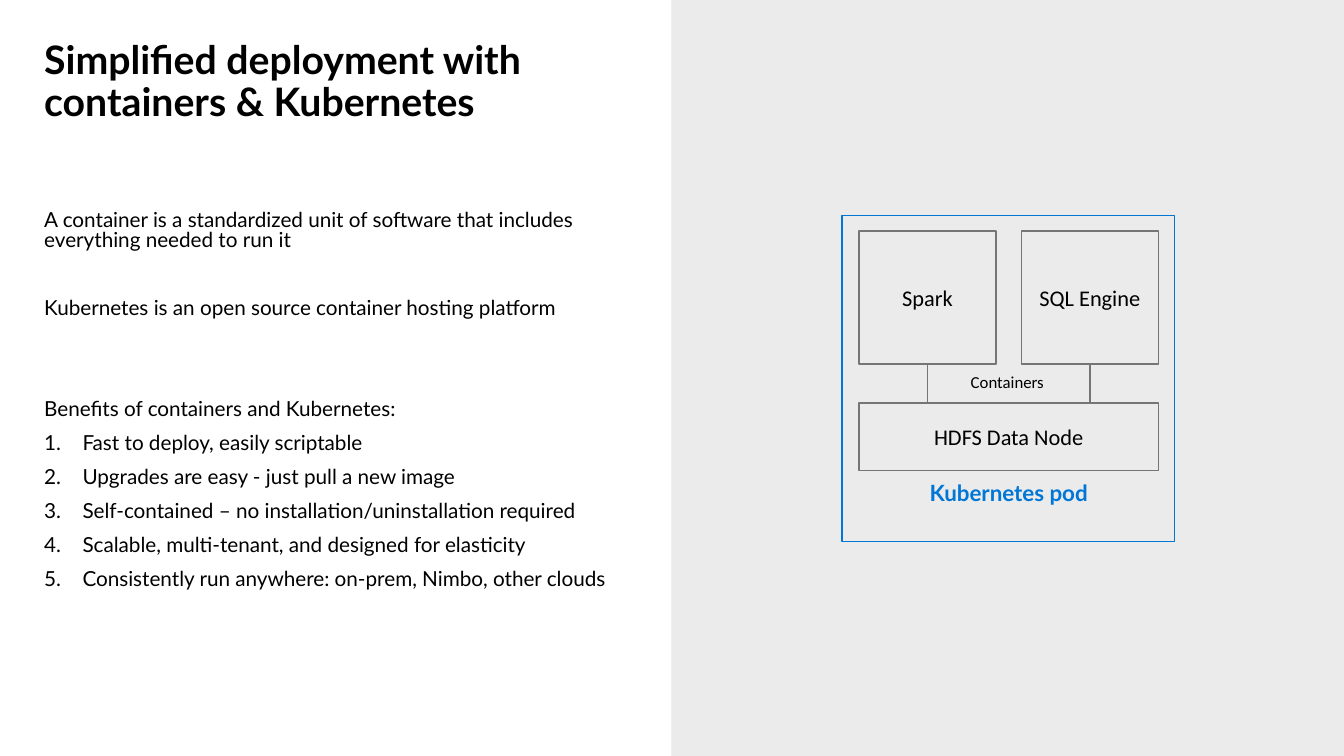
from lxml import etree
from pptx import Presentation
from pptx.dml.color import RGBColor
from pptx.enum import shapes, text
from pptx.oxml import ns
from pptx.util import Inches, Pt

BLACK = RGBColor(0x00, 0x00, 0x00)
BLUE = RGBColor(0x00, 0x77, 0xD7)
GRAY = RGBColor(0x75, 0x75, 0x75)
PANEL = RGBColor(0xEB, 0xEB, 0xEB)

# Statement and the space before it in points
STATEMENTS = [
    ("A container is a standardized unit of software that includes "
     "everything needed to run it", 0),
    ("Kubernetes is an open source container hosting platform", 34.2),
    ("Benefits of containers and Kubernetes:", 58.4),
]
BENEFITS = [
    "Fast to deploy, easily scriptable",
    "Upgrades are easy - just pull a new image",
    "Self-contained – no installation/uninstallation required",
    "Scalable, multi-tenant, and designed for elasticity",
    "Consistently run anywhere: on-prem, Nimbo, other clouds",
]


def style(para, size, font="Lato", color=BLACK, bold=False):
    para.font.size = Pt(size)
    para.font.name = font
    para.font.color.rgb = color
    para.font.bold = bold


def add_text(page, left, top, width, height, wrap=True):
    box = page.shapes.add_textbox(
        Inches(left), Inches(top), Inches(width), Inches(height))
    box.text_frame.word_wrap = wrap
    return box.text_frame


def add_rect(page, left, top, width, height, fill=None, line=None):
    rect = page.shapes.add_shape(
        shapes.MSO_SHAPE.RECTANGLE,
        Inches(left), Inches(top), Inches(width), Inches(height))
    rect.shadow.inherit = False
    if fill is None:
        rect.fill.background()
    else:
        rect.fill.solid()
        rect.fill.fore_color.rgb = fill
    if line is None:
        rect.line.fill.background()
    else:
        rect.line.color.rgb = line
        rect.line.width = Pt(1)
    return rect


def add_node(page, label, left, top, width, height):
    node = add_rect(page, left, top, width, height, line=GRAY)
    frame = node.text_frame
    frame.vertical_anchor = text.MSO_ANCHOR.MIDDLE
    para = frame.paragraphs[0]
    para.text = label
    para.alignment = text.PP_ALIGN.CENTER
    style(para, 16, "Calibri")


def add_link(page, x, top, bottom):
    link = page.shapes.add_connector(
        shapes.MSO_CONNECTOR.STRAIGHT,
        Inches(x), Inches(top), Inches(x), Inches(bottom))
    link.line.color.rgb = GRAY
    link.line.width = Pt(1)
    etree.SubElement(link._element.spPr, ns.qn("a:effectLst"))


def number(para):
    props = para._p.get_or_add_pPr()
    props.set("marL", str(Inches(0.38)))
    props.set("indent", str(Inches(-0.38)))
    etree.SubElement(props, ns.qn("a:buFont"), typeface="+mj-lt")
    etree.SubElement(props, ns.qn("a:buAutoNum"), type="arabicPeriod")


def add_title(page, left, top, width, height):
    para = add_text(page, left, top, width, height).paragraphs[0]
    para.text = "Simplified deployment with\vcontainers & Kubernetes"
    para.line_spacing = 0.9
    style(para, 28, bold=True)


def add_body(page, left, top, width, height):
    frame = add_text(page, left, top, width, height)
    lines = STATEMENTS + [(benefit, 10) for benefit in BENEFITS]
    for index, (line, gap) in enumerate(lines):
        para = frame.add_paragraph() if index else frame.paragraphs[0]
        para.text = line
        if index >= len(STATEMENTS):
            number(para)
        para.line_spacing = 0.8
        para.space_before = Pt(gap)
        style(para, 14.8)


def add_pod(page, left, top, width, height):
    add_rect(page, left, top, width, height, line=BLUE)
    inner_left, inner_width = left + 0.17, 2.97
    side, node_height = 1.36, 1.32
    node_top, store_top = top + 0.15, top + 1.86

    # Containers, each linked down to the data node
    for column, label in enumerate(["Spark", "SQL Engine"]):
        x = inner_left + column * (inner_width - side)
        add_node(page, label, x, node_top, side, node_height)
        add_link(page, x + side / 2, node_top + node_height, store_top)
    add_node(page, "HDFS Data Node", inner_left, store_top, inner_width, 0.67)

    # Captions
    para = add_text(page, left + 1.18, top + 1.52, 0.93, 0.28,
                    wrap=False).paragraphs[0]
    para.text = "Containers"
    para.line_spacing = 0.9
    style(para, 12, "Calibri")
    para = add_text(page, inner_left, top + 2.56,
                    inner_width, 0.37).paragraphs[0]
    para.text = "Kubernetes pod"
    para.alignment = text.PP_ALIGN.CENTER
    style(para, 16, color=BLUE, bold=True)


def main():
    deck = Presentation()
    deck.slide_width, deck.slide_height = Inches(13.33), Inches(7.5)
    page = deck.slides.add_slide(deck.slide_layouts[6])
    add_rect(page, 6.66, 0, 6.67, 7.5, fill=PANEL)
    add_title(page, 0.34, 0.35, 12.75, 0.98)
    add_body(page, 0.34, 2.05, 5.98, 3.89)
    add_pod(page, 8.35, 2.14, 3.3, 3.23)
    deck.save("out.pptx")


if __name__ == "__main__":
    main()
